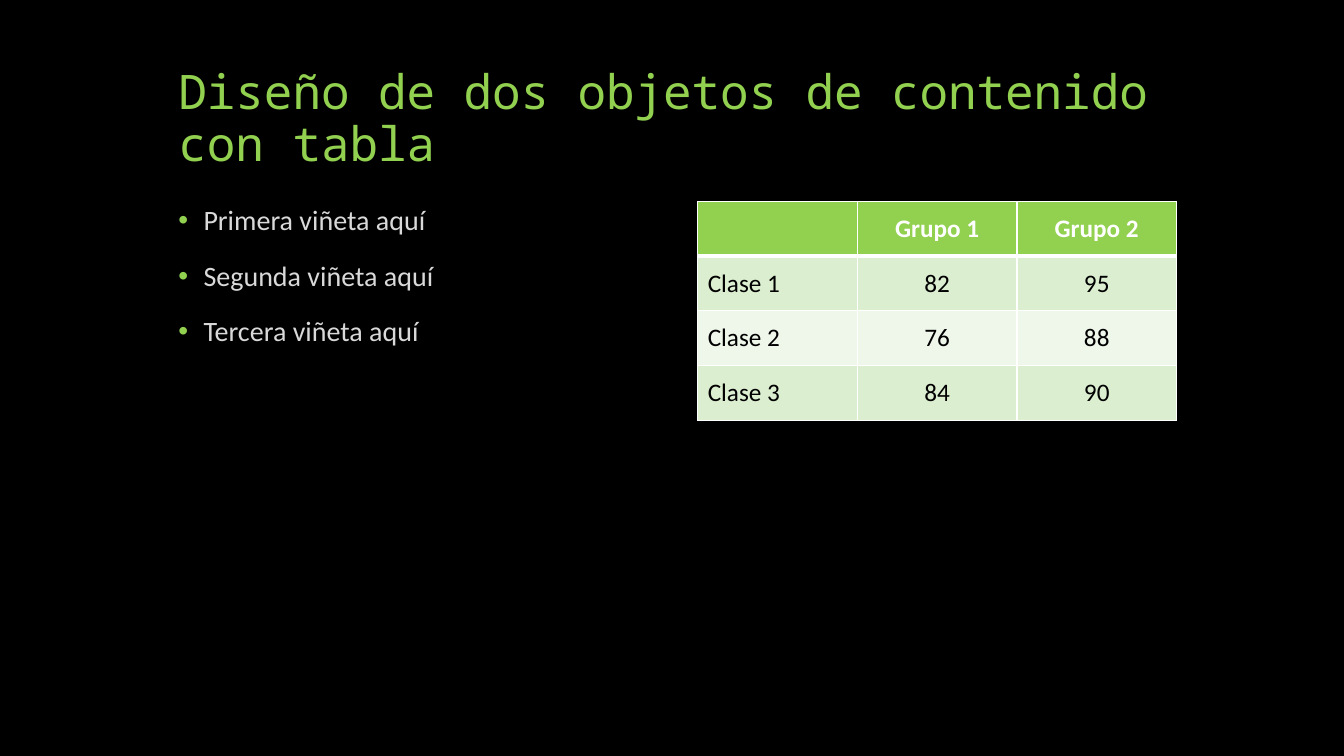
from lxml import etree
from pptx import Presentation
from pptx.dml.color import RGBColor
from pptx.enum.text import MSO_ANCHOR, MSO_AUTO_SIZE, PP_ALIGN
from pptx.oxml.ns import qn
from pptx.util import Inches, Pt

TITLE = "Diseño de dos objetos de contenido con tabla"
BULLETS = ["Primera viñeta aquí", "Segunda viñeta aquí", "Tercera viñeta aquí"]
ROWS = [
    ("", "Grupo 1", "Grupo 2"),
    ("Clase 1", "82", "95"),
    ("Clase 2", "76", "88"),
    ("Clase 3", "84", "90"),
]

BLACK = RGBColor(0x00, 0x00, 0x00)
WHITE = RGBColor(0xFF, 0xFF, 0xFF)
GREEN = RGBColor(0x92, 0xD0, 0x50)
GRAY = RGBColor(0xD9, 0xD9, 0xD9)
BAND_DARK = RGBColor(0xDC, 0xEE, 0xD0)
BAND_LIGHT = RGBColor(0xEE, 0xF7, 0xE9)
LEFT, CENTER = PP_ALIGN.LEFT, PP_ALIGN.CENTER
MIDDLE, BOTTOM = MSO_ANCHOR.MIDDLE, MSO_ANCHOR.BOTTOM
NO_AUTOFIT = MSO_AUTO_SIZE.NONE

MARGIN, CONTENT_TOP, COLUMN_W = 1.67, 2, 4.75
TABLE_LEFT, TABLE_H = 6.92, 2.17


def write(p, text, size, color, font="Calibri", bold=False, align=LEFT, spacing=None):
    p.alignment = align
    p.line_spacing = spacing
    r = p.add_run()
    r.text = text
    r.font.name = font
    r.font.size = Pt(size)
    r.font.bold = bold
    r.font.color.rgb = color


def add_bullet(p, color):
    pPr = p._p.get_or_add_pPr()
    pPr.set("marL", str(Inches(0.25)))
    pPr.set("indent", str(-Inches(0.25)))
    clr = etree.SubElement(pPr, qn("a:buClr"))
    etree.SubElement(clr, qn("a:srgbClr"), val=str(color))
    etree.SubElement(pPr, qn("a:buFont"), typeface="Arial")
    etree.SubElement(pPr, qn("a:buChar"), char="•")


def set_borders(cell, color, **widths):
    tcPr = cell._tc.get_or_add_tcPr()
    for i, side in enumerate("LRTB"):
        ln = etree.Element(qn("a:ln" + side), w=str(Pt(widths.get(side, 1))))
        fill = etree.SubElement(ln, qn("a:solidFill"))
        etree.SubElement(fill, qn("a:srgbClr"), val=str(color))
        tcPr.insert(i, ln)


def add_title(s):
    sp = s.shapes.title
    sp.left, sp.top = Inches(MARGIN), Inches(0.5)
    sp.width, sp.height = Inches(10), Inches(1.25)
    tf = sp.text_frame
    tf.auto_size = NO_AUTOFIT
    tf.vertical_anchor = BOTTOM
    write(tf.paragraphs[0], TITLE, 34, GREEN, font="Noto Sans Mono", spacing=0.9)


def add_bullets(s):
    sp = s.shapes.add_textbox(Inches(MARGIN), Inches(CONTENT_TOP), Inches(COLUMN_W), Inches(4.67))
    tf = sp.text_frame
    tf.word_wrap = True
    for i, text in enumerate(BULLETS):
        p = tf.add_paragraph() if i else tf.paragraphs[0]
        write(p, text, 20, GRAY, spacing=0.9)
        p.space_before = Pt(18)
        add_bullet(p, GREEN)


def add_scores(s):
    table = s.shapes.add_table(
        len(ROWS), len(ROWS[0]), Inches(TABLE_LEFT), Inches(CONTENT_TOP),
        Inches(COLUMN_W), Inches(TABLE_H)).table
    for i, row in enumerate(ROWS):
        header = i == 0
        band = GREEN if header else BAND_DARK if i % 2 else BAND_LIGHT
        for j, text in enumerate(row):
            cell = table.cell(i, j)
            cell.fill.solid()
            cell.fill.fore_color.rgb = band
            cell.vertical_anchor = MIDDLE
            set_borders(cell, WHITE, T=3 if i == 1 else 1, B=3 if header else 1)
            if text:
                write(cell.text_frame.paragraphs[0], text, 18, WHITE if header else BLACK,
                      bold=header, align=CENTER if j else LEFT)


def main():
    prs = Presentation()
    prs.slide_width, prs.slide_height = Inches(13.33), Inches(7.5)
    s = prs.slides.add_slide(prs.slide_layouts[5])
    s.background.fill.solid()
    s.background.fill.fore_color.rgb = BLACK
    add_title(s)
    add_bullets(s)
    add_scores(s)
    prs.save("out.pptx")


if __name__ == "__main__":
    main()
